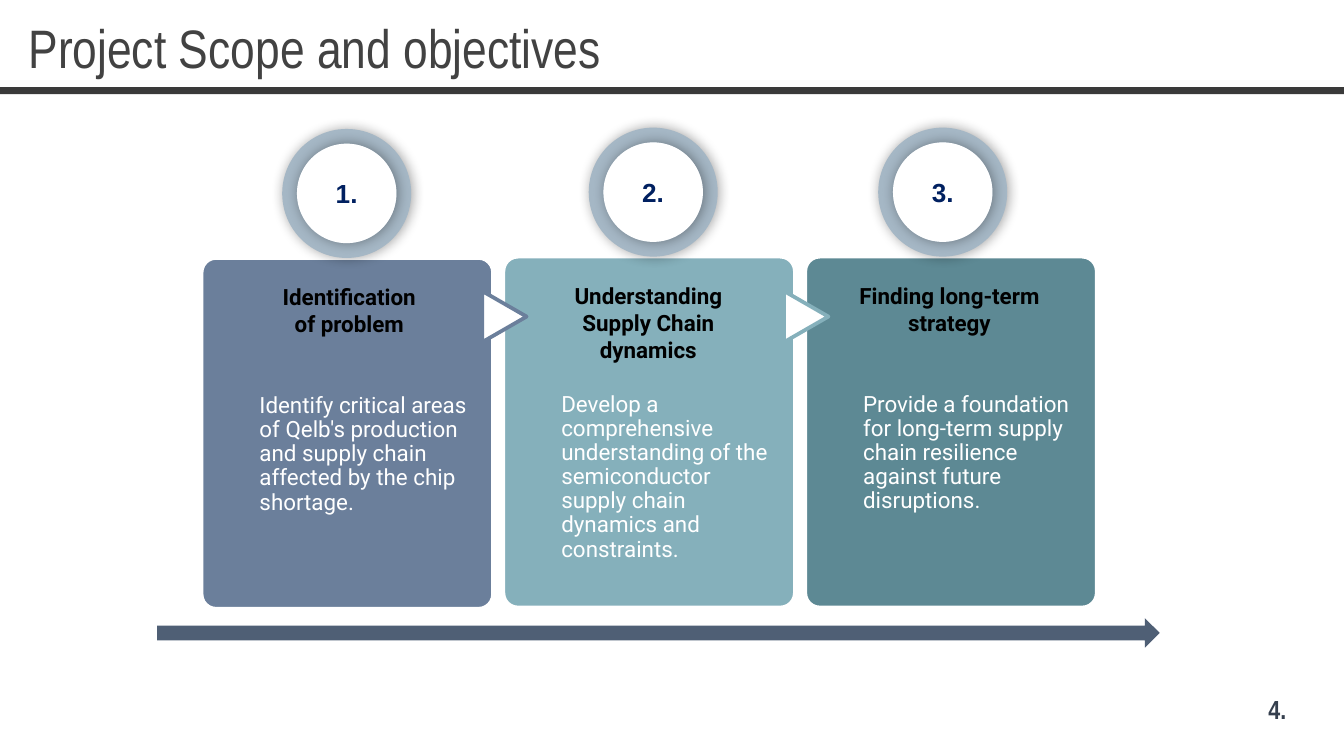
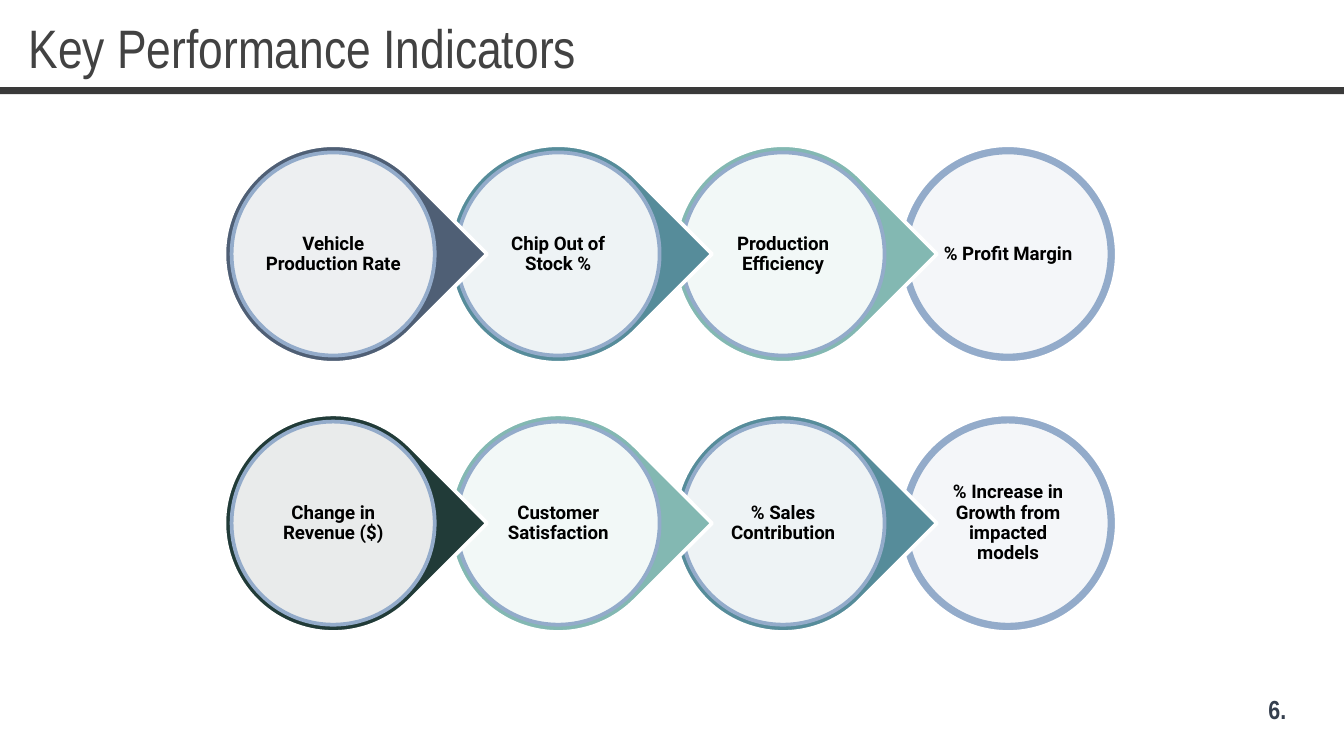
from dataclasses import dataclass
from typing import NamedTuple

from lxml.etree import SubElement
from pptx import Presentation
from pptx.dml.color import RGBColor
from pptx.enum.shapes import MSO_SHAPE as Shape
from pptx.enum.text import MSO_ANCHOR as Anchor, PP_ALIGN as Align
from pptx.oxml.ns import qn
from pptx.util import Pt

COLORS = {
    "white": "FFFFFF", "black": "000000", "title": "424242", "rule": "3A3A3A",
    "page": "353F4E", "navy": "002060", "slate": "4F5F75", "steel": "6B7F9B",
    "sky": "85B0BB", "lagoon": "5D8994", "ring": "A5B7C5", "rim": "93ABCA",
    "teal": "568C9A", "mint": "83B8B2", "forest": "213B38",
}


class Box(NamedTuple):
    x: float
    y: float
    w: float
    h: float

    def inset(self, d: float) -> "Box":
        return Box(self.x + d, self.y + d, self.w - 2 * d, self.h - 2 * d)


@dataclass(frozen=True)
class Style:
    font: str
    size: float
    color: str
    bold: bool = False
    align: Align = Align.LEFT
    anchor: Anchor = Anchor.TOP
    spacing: float = 1.0
    margins: tuple = (7.2, 3.6, 7.2, 3.6)  # left, top, right, bottom


@dataclass(frozen=True)
class Stage:
    number: str
    color: str
    top: float
    ring_x: float
    heading_x: float
    heading_w: float
    heading: str
    body: str


@dataclass(frozen=True)
class Kpi:
    label: str
    color: str


TITLE = Style("Arial Narrow", 29, "title", anchor=Anchor.MIDDLE, margins=(7.2, 0, 7.2, 0))
PAGE = Style("Arial Narrow", 14, "page", bold=True)
NUMBER = Style("Arial", 14, "navy", True, Align.CENTER, Anchor.MIDDLE, margins=(7.2,) * 4)
HEADING = Style("Roboto", 12, "black", True, Align.CENTER)
BODY = Style("Roboto", 12, "white", spacing=0.9, margins=(0, 2.9, 0, 0))
KPI = Style("Roboto", 10, "black", True, Align.CENTER, Anchor.MIDDLE, 0.9, (0.7,) * 4)

STAGES = [
    Stage("1.", "steel", 138.2, 151.2, 141.8, 90.7, "Identification of problem",
          "Identify critical areas of Qelb's production and supply chain "
          "affected by the chip shortage."),
    Stage("2.", "sky", 137.5, 315.4, 289.4, 115.9, "Understanding Supply Chain dynamics",
          "Develop a comprehensive understanding of the semiconductor "
          "supply chain dynamics and constraints."),
    Stage("3.", "lagoon", 137.5, 470.5, 450.7, 115.9, "Finding long-term strategy",
          "Provide a foundation for long-term supply chain resilience "
          "against future disruptions."),
]
CARD_X, CARD_STEP, CARD_W, CARD_H = 108, 161.7, 156.2, 188
BODY_DROP = 70
RING = 69.1

KPI_ROWS = [
    [Kpi("Vehicle Production Rate", "slate"), Kpi("Chip Out of Stock %", "teal"),
     Kpi("Production Efficiency", "mint"), Kpi("% Profit Margin", "rim")],
    [Kpi("Change in Revenue ($)", "forest"), Kpi("Customer Satisfaction", "mint"),
     Kpi("% Sales Contribution", "teal"),
     Kpi("% Increase in Growth from impacted models", "rim")],
]
KPI_X, KPI_Y, KPI_STEP, KPI_ROW_STEP, KPI_SIZE = 120.2, 77.8, 120.5, 144.2, 116.6


# Drawing helpers
def rgb(name: str) -> RGBColor:
    return RGBColor.from_string(COLORS[name])


def write(sp, text: str, style: Style) -> None:
    tf = sp.text_frame
    tf.word_wrap = True
    tf.vertical_anchor = style.anchor
    left, top, right, bottom = map(Pt, style.margins)
    tf.margin_left, tf.margin_top = left, top
    tf.margin_right, tf.margin_bottom = right, bottom
    p = tf.paragraphs[0]
    p.alignment = style.align
    p.line_spacing = style.spacing
    r = p.add_run()
    r.text = text
    r.font.name = style.font
    r.font.size = Pt(style.size)
    r.font.bold = style.bold
    r.font.color.rgb = rgb(style.color)


def add_text(slide, box: Box, text: str, style: Style) -> None:
    write(slide.shapes.add_textbox(*map(Pt, box)), text, style)


def add_shape(slide, kind: Shape, box: Box, fill: str, line: str | None = None,
              adj: float | None = None, rotation: float = 0):
    sp = slide.shapes.add_shape(kind, *map(Pt, box))
    sp.shadow.inherit = False
    sp.rotation = rotation
    sp.fill.solid()
    sp.fill.fore_color.rgb = rgb(fill)
    if line:
        sp.line.color.rgb = rgb(line)
        sp.line.width = Pt(2)
    else:
        sp.line.fill.background()
    if adj is not None:
        sp.adjustments[0] = adj
    return sp


def set_opacity(sp, percent: int) -> None:
    clr = sp._element.spPr.find(qn("a:solidFill")).find(qn("a:srgbClr"))
    SubElement(clr, qn("a:alpha"), val=str(percent * 1000))


def add_shadow(sp) -> None:
    effects = sp._element.spPr.find(qn("a:effectLst"))
    shadow = SubElement(effects, qn("a:outerShdw"), blurRad=str(int(Pt(6.8))),
                        dist=str(int(Pt(0.8))), dir="0", algn="ctr", rotWithShape="0")
    clr = SubElement(shadow, qn("a:srgbClr"), val=COLORS["black"])
    SubElement(clr, qn("a:alpha"), val="34000")


def add_slide(prs, title: str, page: str):
    slide = prs.slides.add_slide(prs.slide_layouts[6])
    add_text(slide, Box(8.2, 14.4, 379.4, 21.6), title, TITLE)
    add_shape(slide, Shape.RECTANGLE, Box(0, 46.7, 720, 3.7), "rule")
    add_text(slide, Box(672.5, 368.2, 47.5, 24.5), page, PAGE)
    return slide


# Slide parts
def add_card(slide, i: int, stage: Stage) -> None:
    x = CARD_X + i * CARD_STEP
    add_shape(slide, Shape.ROUNDED_RECTANGLE, Box(x, stage.top, CARD_W, CARD_H),
              stage.color, "white", adj=0.05)
    if i:
        add_shape(slide, Shape.FLOWCHART_EXTRACT, Box(x - 13.2, stage.top + 20.2, 27.4, 23.8),
                  "white", STAGES[i - 1].color, rotation=90)
    add_text(slide, Box(x + 31, stage.top + BODY_DROP, 116.6, CARD_H - BODY_DROP),
             stage.body, BODY)
    add_text(slide, Box(stage.heading_x, stage.top + 10.1, stage.heading_w, 36),
             stage.heading, HEADING)


def add_ring(slide, stage: Stage) -> None:
    outer = Box(stage.ring_x, stage.top - RING, RING, RING)
    inner = outer.inset(7.9)
    for box in (outer, inner):
        add_shadow(add_shape(slide, Shape.OVAL, box, "ring"))
    write(add_shape(slide, Shape.OVAL, inner, "white"), stage.number, NUMBER)


def add_kpi(slide, box: Box, kpi: Kpi, last: bool) -> None:
    if last:
        add_shape(slide, Shape.OVAL, box, kpi.color, "white")
    else:
        add_shape(slide, Shape.TEAR, box, kpi.color, "white", adj=1, rotation=45)
    set_opacity(add_shape(slide, Shape.OVAL, box.inset(3.9), "white", "rim"), 90)
    add_text(slide, box.inset(19.4), kpi.label, KPI)


def build_scope(prs) -> None:
    slide = add_slide(prs, "Project Scope and objectives", "4.")
    for i, stage in enumerate(STAGES):
        add_card(slide, i, stage)
    add_shape(slide, Shape.RIGHT_ARROW, Box(84.2, 331.2, 537.1, 15.8), "slate")
    for stage in STAGES:
        add_ring(slide, stage)


def build_kpis(prs) -> None:
    slide = add_slide(prs, "Key Performance Indicators", "6.")
    for row, kpis in enumerate(KPI_ROWS):
        # Right to left, so that each point overlaps the next circle
        for col in reversed(range(len(kpis))):
            box = Box(KPI_X + col * KPI_STEP, KPI_Y + row * KPI_ROW_STEP, KPI_SIZE, KPI_SIZE)
            add_kpi(slide, box, kpis[col], col == len(kpis) - 1)


def main() -> None:
    prs = Presentation()
    prs.slide_width, prs.slide_height = Pt(720), Pt(405)
    build_scope(prs)
    build_kpis(prs)
    prs.save("out.pptx")


if __name__ == "__main__":
    main()
